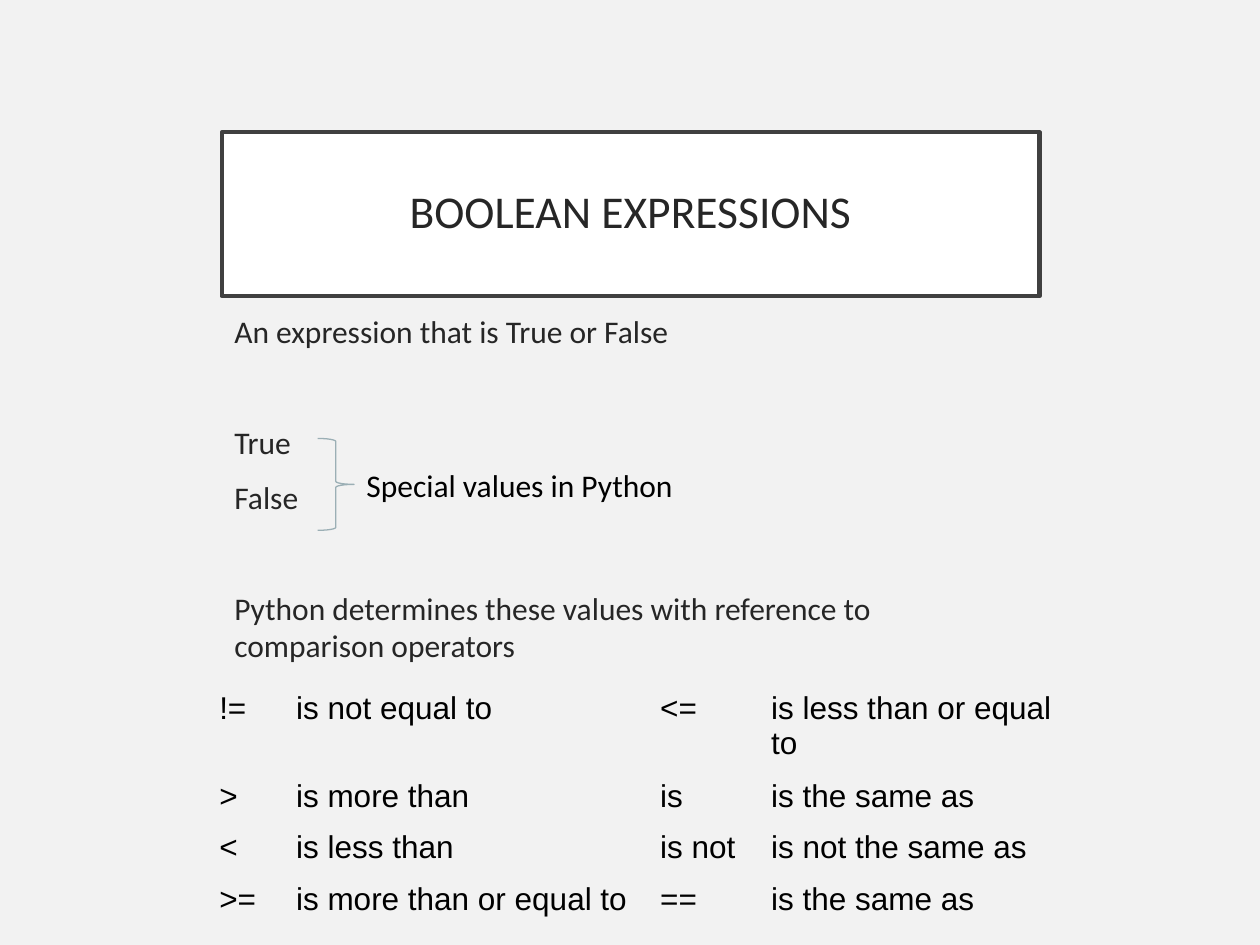
from lxml import etree
from pptx import Presentation
from pptx.dml.color import RGBColor
from pptx.enum.shapes import MSO_SHAPE
from pptx.enum.text import MSO_ANCHOR, MSO_AUTO_SIZE, PP_ALIGN
from pptx.oxml.ns import qn
from pptx.util import Inches, Pt

BRACE = MSO_SHAPE.RIGHT_BRACE
MIDDLE, TOP = MSO_ANCHOR.MIDDLE, MSO_ANCHOR.TOP
CENTER, LEFT = PP_ALIGN.CENTER, PP_ALIGN.LEFT
FIXED = MSO_AUTO_SIZE.NONE
PLAIN = "{2D5ABB26-0587-4C30-8999-92F81FD0307C}"  # no style, no grid
INK = "262626"


def rgb(code):
    return RGBColor.from_string(code)


def write(para, text, size=18, face="Calibri", color="000000"):
    run = para.add_run()
    run.text = text
    font = run.font
    for name, value in {"size": Pt(size), "name": face, "bold": False}.items():
        setattr(font, name, value)
    font.color.rgb = rgb(color)


deck = Presentation()
deck.slide_width, deck.slide_height = Inches(10), Inches(7.5)
slide = deck.slides.add_slide(deck.slide_layouts[1])
slide.background.fill.solid()
slide.background.fill.fore_color.rgb = rgb("F2F2F2")
shapes = slide.shapes
left, wide = Inches(1.76), Inches(6.49)

# Title and body
title, body = slide.placeholders
for box, top, high, pad, anchor in (
    (title, 1.05, 1.3, 0.2, MIDDLE),
    (body, 2.43, 4.97, 0.1, TOP),
):
    place = {"left": left, "top": Inches(top), "width": wide, "height": Inches(high)}
    for name, value in place.items():
        setattr(box, name, value)
    frame = box.text_frame
    format = {"auto_size": FIXED, "word_wrap": True, "vertical_anchor": anchor,
              "margin_left": Inches(pad), "margin_right": Inches(pad)}
    for name, value in format.items():
        setattr(frame, name, value)

title.fill.solid()
title.fill.fore_color.rgb = rgb("FFFFFF")
title.line.color.rgb = rgb("404040")
title.line.width = Pt(2.5)
head = title.text_frame.paragraphs[0]
head.alignment, head.line_spacing = CENTER, 0.9
write(head, "BOOLEAN EXPRESSIONS", 26, color=INK)

frame = body.text_frame
frame.margin_right = Inches(0.15)
lines = (
    ("An expression that is True or False", 0),
    ("True", 41.5),
    ("False", 10),
    ("Python determines these values with reference to comparison operators", 41.5),
)
for i, (text, gap) in enumerate(lines):
    para = frame.add_paragraph() if i else frame.paragraphs[0]
    para.alignment, para.space_before = LEFT, Pt(gap)
    props = para._p.get_or_add_pPr()
    props.set("marL", "0")
    props.set("indent", "0")
    etree.SubElement(props, qn("a:buNone"))
    write(para, text, color=INK)

# Brace and its label
brace = shapes.add_shape(BRACE, Inches(2.52), Inches(3.48), Inches(0.29), Inches(0.73))
brace.shadow.inherit = False
brace.fill.background()
brace.line.color.rgb = rgb("9BAFB5")
brace.line.width = Pt(0.75)
brace.adjustments[0] = 0.083

label = shapes.add_textbox(Inches(2.81), Inches(3.65), Inches(3.09), Inches(0.4))
label.text_frame.word_wrap = True
write(label.text_frame.paragraphs[0], "Special values in Python")

# Operators
rows = (
    ("!=", "is not equal to", "<=", "is less than or equal to"),
    (">", "is more than", "is", "is the same as"),
    ("<", "is less than", "is not", "is not the same as"),
    (">=", "is more than or equal to", "==", "is the same as"),
)
cols = (0.61, 2.89, 0.88, 2.62)
step = 0.41
grid = shapes.add_table(len(rows), len(cols), Inches(1.64), Inches(5.43),
                        Inches(sum(cols)), Inches(step * len(rows)))
table = grid.table
table.first_row = table.horz_banding = False
table._tbl.tblPr.find(qn("a:tableStyleId")).text = PLAIN
for col, size in zip(table.columns, cols):
    col.width = Inches(size)
for r, row in enumerate(rows):
    table.rows[r].height = Inches(step)
    for c, text in enumerate(row):
        cell = table.cell(r, c)
        cell.fill.background()
        write(cell.text_frame.paragraphs[0], text, face="Arial")

deck.save("out.pptx")
